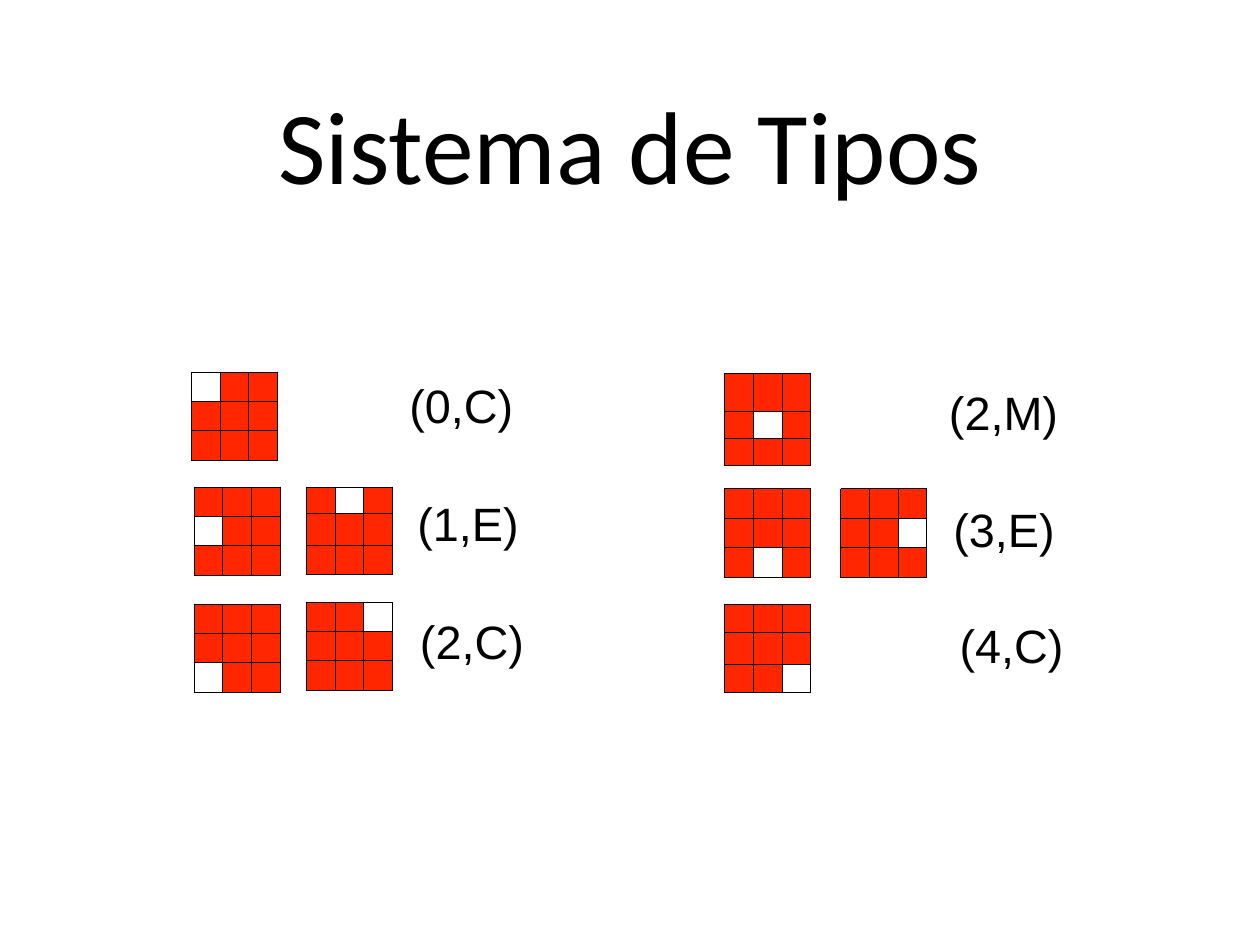
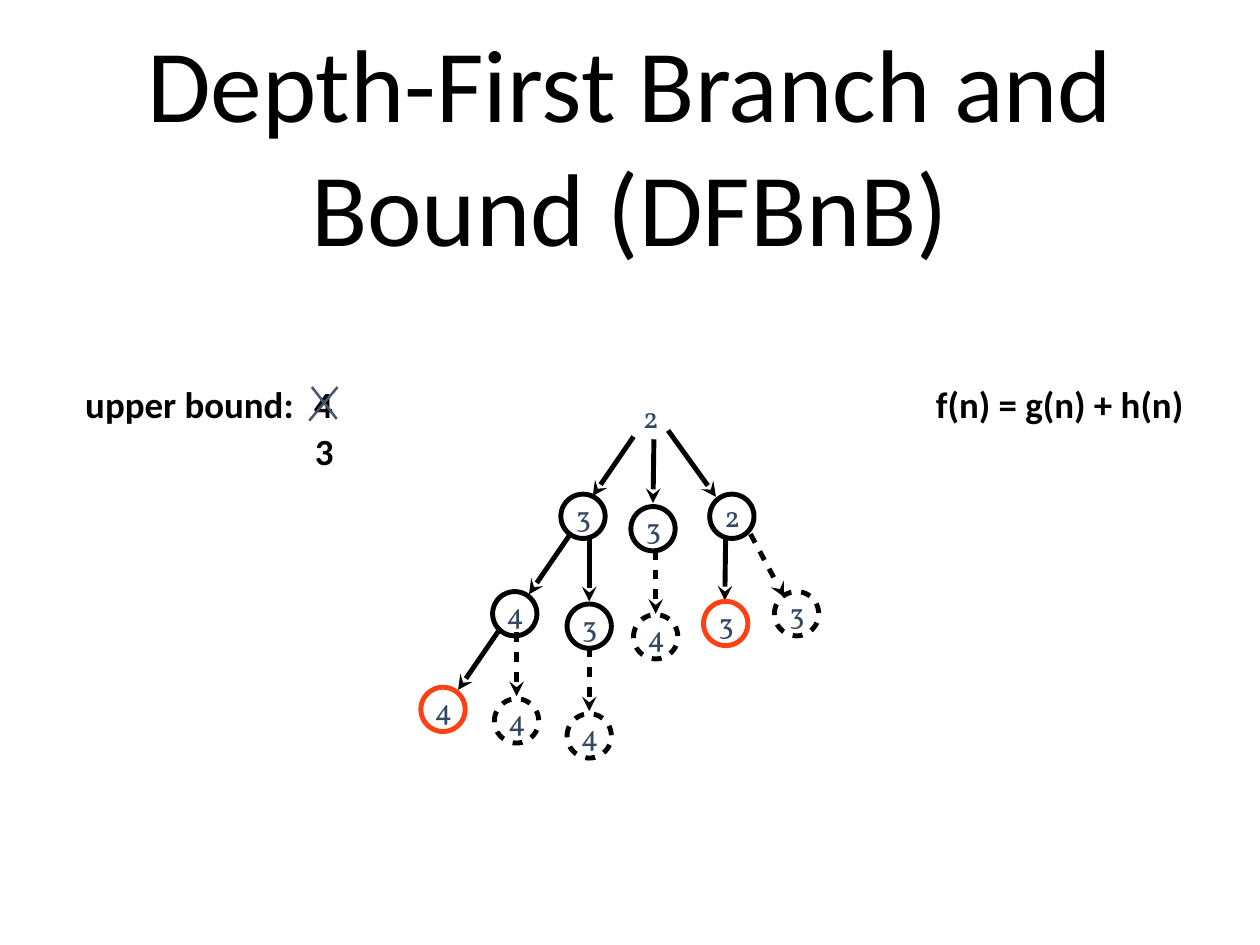
import pptx
import pptx.dml.color
import pptx.enum.shapes
import pptx.enum.text
import pptx.oxml.ns
import pptx.util
from lxml import etree

PX = 9144  # EMU per px, 100 px to the inch
BLACK, WHITE, RED = "000000", "FFFFFF", "FF2600"
GOAL, DIGIT, CROSS = "FF4013", "324863", "48556C"
ALIGN = pptx.enum.text.PP_ALIGN
AUTO_SIZE = pptx.enum.text.MSO_AUTO_SIZE
EVEN = (33, 33, 34)

# left, top, (row, column) of the blank, row heights
BOARDS = [
    (216, 420, (0, 0), EVEN),
    (219, 550, (1, 0), EVEN), (346, 550, (0, 1), (30, 36, 33)),
    (219, 682, (2, 0), EVEN), (346, 680, (0, 2), EVEN),
    (818, 422, (1, 1), (43, 30, 30)),
    (818, 552, (2, 1), EVEN), (949, 552, (1, 2), EVEN),
    (818, 682, (2, 2), (32, 36, 32)),
]
TYPES = [
    ("(0,C)", 458, 424, 127), ("(1,E)", 467, 557, 124), ("(2,C)", 470, 690, 127),
    ("(2,M)", 1067, 432, 133), ("(3,E)", 1072, 564, 124), ("(4,C)", 1079, 694, 127),
]
# value, left, top, arrow start, arrow end, colour, dashed
NODES = [
    ("3", 633, 558, (715, 493), (669, 560), BLACK, False),
    ("4", 556, 668, (643, 604), (597, 671), BLACK, False),
    ("4", 475, 776, (563, 712), (517, 779), GOAL, False),
    ("3", 640, 682, (665, 607), (665, 679), BLACK, False),
    ("3", 712, 572, (738, 496), (737, 568), BLACK, False),
    ("2", 801, 558, (754, 486), (808, 561), BLACK, False),
    ("4", 640, 806, (665, 731), (665, 803), BLACK, True),
    ("4", 715, 694, (740, 621), (740, 693), BLACK, True),
    ("3", 794, 679, (819, 606), (818, 678), GOAL, False),
    ("3", 874, 668, (847, 603), (885, 674), BLACK, True),
    ("4", 558, 789, (583, 714), (583, 786), BLACK, True),
]


def px(n):
    return pptx.util.Emu(n * PX)


def rgb(color):
    return pptx.dml.color.RGBColor.from_string(color)


def sub(parent, tag, **attrs):
    return etree.SubElement(parent, pptx.oxml.ns.qn("a:" + tag), **attrs)


def write(tf, text, size, font, color=BLACK, bold=False, align=ALIGN.CENTER, inset=0):
    tf.margin_left = tf.margin_right = tf.margin_top = tf.margin_bottom = px(inset)
    tf.vertical_anchor = pptx.enum.text.MSO_ANCHOR.MIDDLE
    p = tf.paragraphs[0]
    p.alignment = align
    r = p.add_run()
    r.text = text
    r.font.size = pptx.util.Pt(size)
    r.font.name = font
    r.font.bold = bold
    r.font.color.rgb = rgb(color)


def add_titled_slide(prs, title):
    s = prs.slides.add_slide(prs.slide_layouts[5])
    sp = s.shapes.title
    sp.left, sp.top, sp.width, sp.height = map(px, (139, 28, 1144, 267))
    sp.text_frame.auto_size = AUTO_SIZE.NONE
    write(sp.text_frame, title, 84, "Calibri", inset=6)
    return s


def add_text(s, text, x, y, w, h, size, font, wrap=False, **style):
    tf = s.shapes.add_textbox(px(x), px(y), px(w), px(h)).text_frame
    tf.word_wrap = wrap
    tf.auto_size = AUTO_SIZE.SHAPE_TO_FIT_TEXT
    write(tf, text, size, font, **style)


def set_line(line, color, width, dashed=False):
    line.color.rgb = rgb(color)
    line.width = pptx.util.Pt(width)
    ln = line._get_or_add_ln()
    if dashed:
        sub(sub(ln, "custDash"), "ds", d="200000", sp="200000")
    return ln


def add_line(s, start, end, color, width, dashed=False, arrow=False):
    line = s.shapes.add_connector(
        pptx.enum.shapes.MSO_CONNECTOR.STRAIGHT, *map(px, start + end))
    ln = set_line(line.line, color, width, dashed)
    if arrow:
        sub(ln, "tailEnd", type="stealth")
    sub(line._element.spPr, "effectLst")


def style_cell(cell, color):
    cell.margin_left = cell.margin_right = cell.margin_top = cell.margin_bottom = 0
    sub(cell.text_frame.paragraphs[0]._p, "endParaRPr", sz="800")
    tc_pr = cell._tc.get_or_add_tcPr()
    for side in ("lnL", "lnR", "lnT", "lnB"):
        border = sub(tc_pr, side, w="9525")
        sub(sub(border, "solidFill"), "srgbClr", val=BLACK)
    cell.fill.solid()
    cell.fill.fore_color.rgb = rgb(color)


def add_board(s, x, y, blank, heights):
    table = s.shapes.add_table(
        3, 3, px(x), px(y), px(97), px(sum(heights))).table
    table.first_row = table.horz_banding = False
    for i, height in enumerate(heights):
        table.rows[i].height = px(height)
        table.columns[i].width = px(97) // 3
        for j in range(3):
            style_cell(table.cell(i, j), WHITE if (i, j) == blank else RED)


def add_digit(s, value, x, y):
    add_text(s, value, x, y, 29, 56, 24, "Vollkorn", color=DIGIT)


def add_node(s, value, x, y, start, end, color, dashed):
    add_line(s, start, end, BLACK, 4, dashed, arrow=True)
    sp = s.shapes.add_shape(
        pptx.enum.shapes.MSO_SHAPE.OVAL, px(x), px(y), px(50), px(50))
    sp.shadow.inherit = False
    sp.fill.background()
    set_line(sp.line, color, 4, dashed)
    add_digit(s, value, x + 11, y - 4)


def add_note(s, text, x, y, w, wrap=False):
    add_text(s, text, x, y, w, 67, 30, "Calibri", wrap, bold=True)


def add_types_slide(prs):
    s = add_titled_slide(prs, "Sistema de Tipos")
    for board in BOARDS:
        add_board(s, *board)
    for label, x, y, w in TYPES:
        add_text(s, label, x, y, w, 67, 38, "Arial", align=ALIGN.LEFT, inset=4)


def add_search_slide(prs):
    s = add_titled_slide(prs, "Depth-First Branch and Bound (DFBnB)")
    # Search tree
    add_digit(s, "2", 720, 442)
    for node in NODES:
        add_node(s, *node)
    # Cost function and upper bound, with the old bound crossed out
    add_note(s, "f(n) = g(n) + h(n)", 1035, 422, 322)
    add_note(s, "4", 348, 422, 34)
    add_note(s, "3", 349, 476, 34)
    add_line(s, (352, 437), (380, 473), CROSS, 2)
    add_line(s, (381, 437), (349, 475), CROSS, 2)
    add_note(s, "upper bound:", 0, 422, 428, wrap=True)


def main():
    prs = pptx.Presentation()
    prs.slide_width, prs.slide_height = px(1422), px(1067)
    add_types_slide(prs)
    add_search_slide(prs)
    prs.save("out.pptx")


if __name__ == "__main__":
    main()
